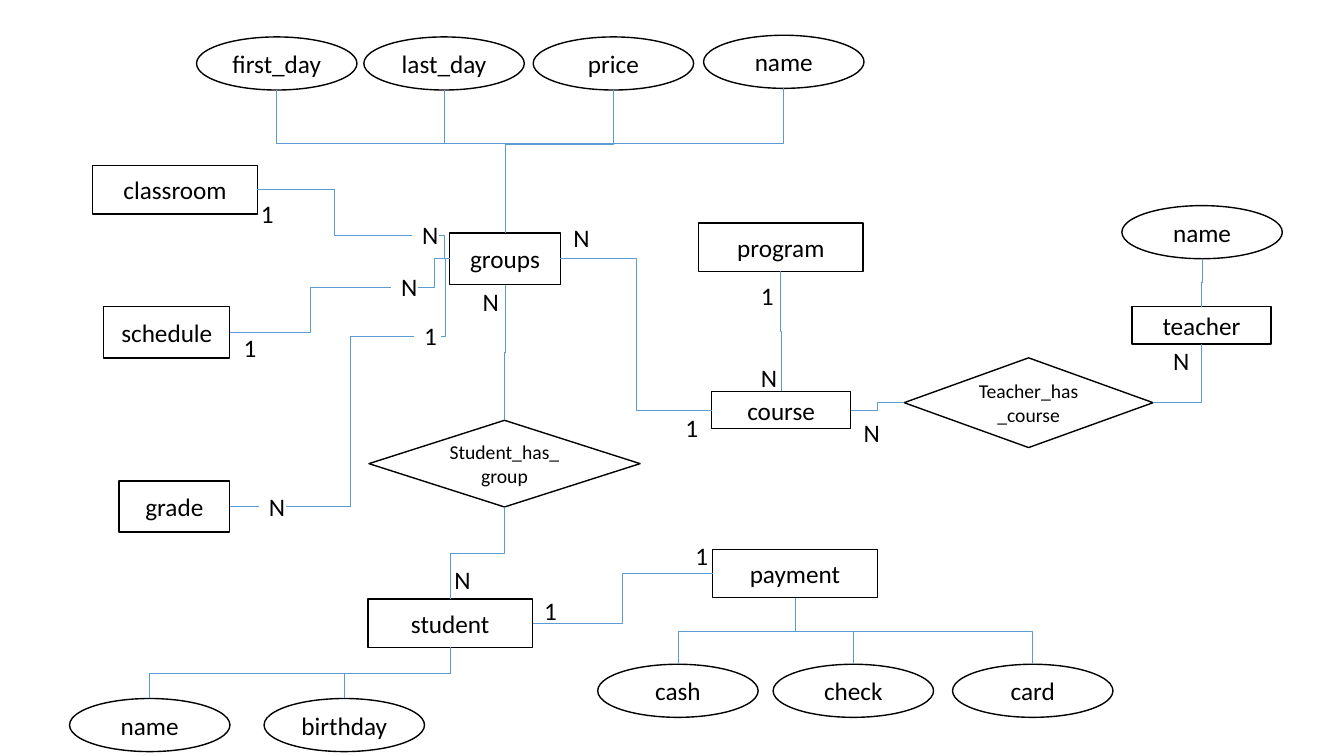
from typing import NamedTuple
from lxml.etree import SubElement
from pptx import Presentation
from pptx.dml.color import RGBColor
from pptx.enum.shapes import MSO_CONNECTOR, MSO_SHAPE
from pptx.enum.text import MSO_ANCHOR, MSO_AUTO_SIZE, PP_ALIGN
from pptx.oxml.ns import qn
from pptx.util import Inches, Pt

COLS, ROWS = 160, 90
INK, BLUE = "000000", "5B9BD5"
RECT, OVAL, RHOMB = MSO_SHAPE.RECTANGLE, MSO_SHAPE.OVAL, MSO_SHAPE.DIAMOND
WIDE, FLAT, SMALL, ROUND = (19.6, 5.76), (16.56, 4.44), (13.2, 6.12), (19.1, 6.32)
TAG = (3.24, 4.84)
SIDES = {"top": (0.5, 0, 0), "left": (0, 0.5, 1),
         "bottom": (0.5, 1, 2), "right": (1, 0.5, 3)}


class Node(NamedTuple):
    key: str
    text: str
    kind: MSO_SHAPE
    col: float
    row: float
    size: tuple[float, float]
    font: int = 18


class Label(NamedTuple):
    key: str
    text: str
    col: float
    row: float


class Link(NamedTuple):
    start: str
    out: str
    end: str
    into: str
    bend: float = 0.5


def entity(name: str, col: float, row: float, size: tuple[float, float]) -> Node:
    return Node(name, name, RECT, col, row, size)


def field(owner: str, name: str, col: float, row: float) -> Node:
    return Node(f"{owner}.{name}", name, OVAL, col, row, ROUND)


NODES = [
    entity("course", 84.72, 46.6, FLAT),
    entity("groups", 53.52, 27.75, SMALL),
    entity("payment", 84.84, 65.4, WIDE),
    entity("student", 43.8, 71.3, WIDE),
    entity("classroom", 11.04, 19.7, WIDE),
    entity("teacher", 134.76, 36.5, FLAT),
    entity("program", 83.16, 26.55, WIDE),
    entity("grade", 14.16, 57.24, SMALL),
    entity("schedule", 12.36, 36.5, (15, 6.12)),
    Node("enrol", "Student_has_group", RHOMB, 43.92, 50.04, (32.28, 10.32), 14),
    Node("teach", "Teacher_has_course", RHOMB, 107.64, 42.6, (29.64, 10.68), 14),
    field("teacher", "name", 133.56, 24.48),
    field("student", "name", 8.28, 83.16),
    field("student", "birthday", 31.44, 83.16),
    field("payment", "cash", 71.16, 79.08),
    field("payment", "check", 92.04, 79.08),
    field("payment", "card", 113.4, 79.08),
    field("groups", "first_day", 23.4, 4.4),
    field("groups", "last_day", 43.32, 4.4),
    field("groups", "price", 63.48, 4.4),
    field("groups", "name", 83.76, 4.2),
]

LABELS = [
    Label("groups.enrol", "N", 56.28, 33.48),
    Label("student.enrol", "N", 52.92, 66.6),
    Label("course.teach", "N", 101.64, 49.08),
    Label("teacher.teach", "N", 138.48, 40.56),
    Label("groups.course", "N", 67.08, 25.92),
    Label("course.program", "N", 89.4, 42.6),
    Label("groups.room", "N", 49.08, 25.56),
    Label("groups.time", "N", 46.56, 31.74),
    Label("grade.groups", "N", 30.84, 57.9),
    Label("groups.grade", "1", 49.32, 37.6),
    Label("program.course", "1", 89.4, 32.76),
    Label("student.pay", "1", 63.6, 70.32),
    Label("pay.student", "1", 81.6, 63.72),
    Label("room.groups", "1", 29.88, 23.04),
    Label("time.groups", "1", 27.84, 39),
    Label("course.groups", "1", 80.4, 48.48),
]

LINKS = [
    Link("groups", "bottom", "enrol", "top"),
    Link("enrol", "bottom", "student", "top"),
    Link("student", "right", "payment", "left"),
    Link("groups", "right", "course", "left"),
    Link("program", "bottom", "course", "top"),
    Link("teach", "right", "teacher", "bottom"),
    Link("course", "right", "teach", "left"),
    Link("teacher.name", "bottom", "teacher", "top"),
    Link("classroom", "right", "groups.room", "left"),
    Link("groups.room", "right", "groups", "left"),
    Link("schedule", "right", "groups.time", "left"),
    Link("groups.time", "right", "groups", "left"),
    Link("grade", "right", "grade.groups", "left"),
    Link("grade.groups", "right", "groups.grade", "left"),
    Link("groups.grade", "right", "groups", "left"),
    *(Link(f"payment.{name}", "top", "payment", "bottom")
      for name in ("cash", "check", "card")),
    *(Link(f"student.{name}", "top", "student", "bottom")
      for name in ("name", "birthday")),
    *(Link(f"groups.{name}", "bottom", "groups", "top", bend)
      for name, bend in (("first_day", 0.37), ("last_day", 0.37),
                         ("price", 0.38), ("name", 0.38))),
]

deck = Presentation()
deck.slide_width, deck.slide_height = Inches(13.33), Inches(7.5)
slide = deck.slides.add_slide(deck.slide_layouts[6])
shapes = {}


def shade(code: str) -> RGBColor:
    return RGBColor.from_string(code)


def place(col: float, row: float) -> tuple[int, int]:
    return round(col * deck.slide_width / COLS), round(row * deck.slide_height / ROWS)


def write(shape, text: str, size: int, align: PP_ALIGN) -> None:
    frame = shape.text_frame
    frame.word_wrap = True
    line = frame.paragraphs[0]
    line.alignment = align
    run = line.add_run()
    run.text = text
    run.font.name, run.font.size = "Calibri", Pt(size)
    run.font.color.rgb = shade(INK)


def draw_node(node: Node) -> None:
    shape = slide.shapes.add_shape(
        node.kind, *place(node.col, node.row), *place(*node.size))
    shape.shadow.inherit = False
    shape.fill.background()
    shape.line.color.rgb, shape.line.width = shade(INK), Pt(1)
    shape.text_frame.vertical_anchor = MSO_ANCHOR.MIDDLE
    write(shape, node.text, node.font, PP_ALIGN.CENTER)
    shapes[node.key] = shape


def draw_label(label: Label) -> None:
    box = slide.shapes.add_textbox(*place(label.col, label.row), *place(*TAG))
    write(box, label.text, 18, PP_ALIGN.LEFT)
    box.text_frame.auto_size = MSO_AUTO_SIZE.SHAPE_TO_FIT_TEXT
    shapes[label.key] = box


def anchor(key: str, side: str) -> tuple[int, int, int]:
    shape = shapes[key]
    across, down, site = SIDES[side]
    oval = key in {node.key for node in NODES if node.kind == OVAL}
    return (round(shape.left + across * shape.width),
            round(shape.top + down * shape.height), site * 2 if oval else site)


def draw_link(link: Link) -> None:
    x1, y1, site1 = anchor(link.start, link.out)
    x2, y2, site2 = anchor(link.end, link.into)
    dx, dy, turn = x2 - x1, y2 - y1, 0
    ends = x1, y1, x2, y2
    if link.out in ("top", "bottom"):
        turn = 270 if dx * dy > 0 else 90
        midx, midy = (x1 + x2) // 2, (y1 + y2) // 2
        wide, high = abs(dy) // 2, abs(dx) // 2
        if dx > 0:
            wide = -wide
        if dy < 0:
            high = -high
        ends = midx - wide, midy - high, midx + wide, midy + high
    wire = slide.shapes.add_connector(MSO_CONNECTOR.ELBOW, *ends)
    wire.line.color.rgb, wire.line.width = shade(BLUE), Pt(0.5)
    root = wire.element
    props = root.spPr
    if turn:
        props.find(qn("a:xfrm")).set("rot", str(turn * 60000))
    form = props.find(qn("a:prstGeom"))
    if link.out == "right" and link.into == "bottom":
        form.set("prst", "bentConnector2")
    elif link.bend != 0.5:
        guides = form.find(qn("a:avLst"))
        SubElement(guides, qn("a:gd"), name="adj1", fmla=f"val {round(link.bend * 100000)}")
    SubElement(props, qn("a:effectLst"))
    joint = root.find(".//" + qn("p:cNvCxnSpPr"))
    for tag, key, site in (("a:stCxn", link.start, site1), ("a:endCxn", link.end, site2)):
        SubElement(joint, qn(tag), id=str(shapes[key].shape_id), idx=str(site))


for node in NODES:
    draw_node(node)
for label in LABELS:
    draw_label(label)
for link in LINKS:
    draw_link(link)
deck.save("out.pptx")
